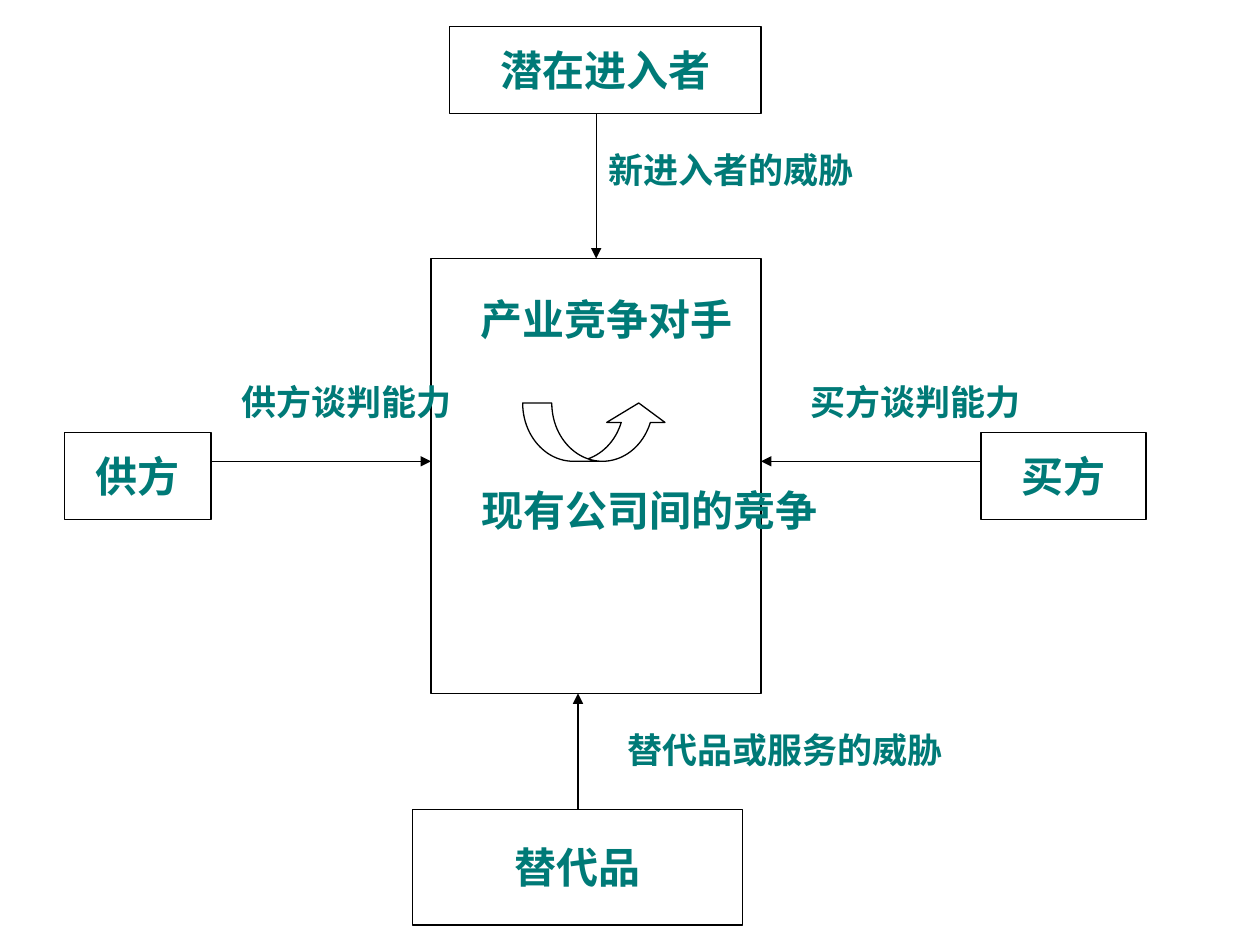
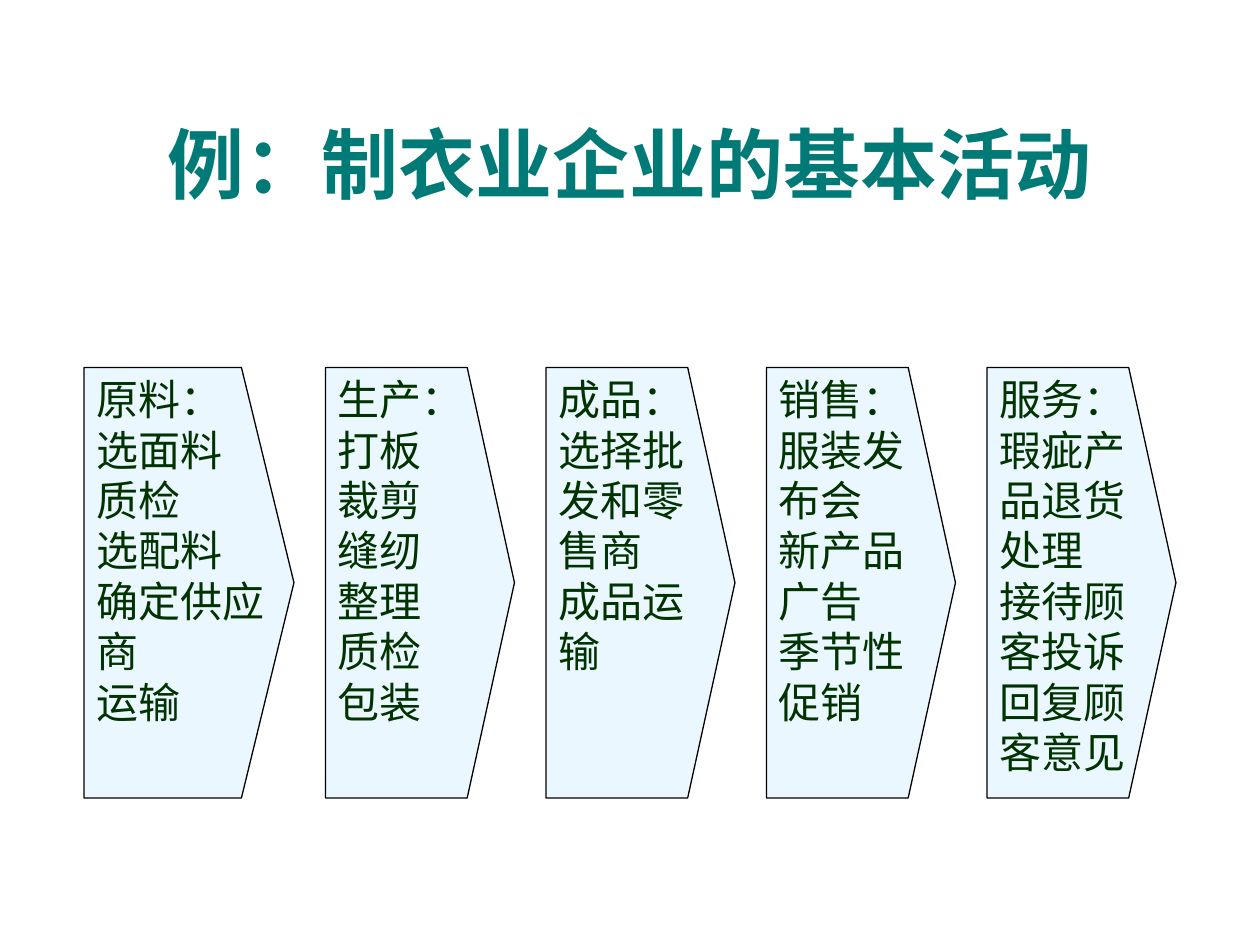
"""Build two slides: the five forces diagram and a clothing value chain."""
from lxml import etree
from pptx import Presentation
from pptx.dml.color import RGBColor
from pptx.enum.shapes import MSO_CONNECTOR, MSO_SHAPE
from pptx.enum.text import MSO_ANCHOR, PP_ALIGN
from pptx.oxml.ns import qn
from pptx.util import Pt

RECT, CHEVRON = MSO_SHAPE.RECTANGLE, MSO_SHAPE.PENTAGON
CURVE = MSO_SHAPE.CURVED_UP_ARROW
STRAIGHT = MSO_CONNECTOR.STRAIGHT
TOP, MIDDLE = MSO_ANCHOR.TOP, MSO_ANCHOR.MIDDLE
LEFT, CENTER = PP_ALIGN.LEFT, PP_ALIGN.CENTER

COLORS = {"teal": "007A77", "green": "003300", "pale": "EBF7FF", "line": "000000"}
SERIF, SANS = "Times New Roman", "Arial"

RIVAL = (246.3, 147.7, 188.6, 248.5)
FORCES = [
    ("潜在进入者", (256.8, 15, 178.1, 49.7)),
    ("供方", (36.9, 247.1, 83.8, 49.7)),
    ("买方", (560.6, 247.1, 94.3, 49.7)),
    ("替代品", (235.8, 462.4, 188.6, 66.2)),
]
LABELS = [
    ("产业竞争对手", 24, (267.4, 164.2, 219.6, 36)),
    ("现有公司间的竞争", 24, (267.8, 273.1, 219.6, 36)),
    ("新进入者的威胁", 20, (340.4, 81.2, 209.5, 31.5)),
    ("买方谈判能力", 20, (456, 213.8, 177.8, 31.5)),
    ("供方谈判能力", 20, (130.9, 213.8, 157, 31.5)),
    ("替代品或服务的威胁", 20, (351.2, 412.6, 241.2, 31.5)),
]
LOOP = (298.7, 230.3, 83, 33.3)
BENDS = (0.5, 1, 0.333)
ARROWS = [
    ((120.7, 263.6), (246.3, 263.6)),
    ((560.6, 263.6), (434.9, 263.6)),
    ((330.3, 462.4), (330.3, 396.2)),
    ((340.7, 64.7), (340.7, 147.7)),
]

TITLE = "例：制衣业企业的基本活动"
STAGES = [
    ("原料：", "选面料", "质检", "选配料", "确定供应商", "运输"),
    ("生产：打板", "裁剪", "缝纫", "整理", "质检", "包装"),
    ("成品：选择批发和零售商", "成品运输"),
    ("销售：服装发布会", "新产品广告", "季节性促销"),
    ("服务：", "瑕疵产品退货处理", "接待顾客投诉", "回复顾客意见"),
]
START, GAP, WIDE, NARROW = 48, 18, 120, 108
STAGE_TOP, STAGE_HIGH = 210, 246


def rgb(name):
    return RGBColor.from_string(COLORS[name])


def write(shape, lines, size, color="teal", bold=True, font=SERIF,
          align=LEFT, anchor=TOP, wrap=True):
    frame = shape.text_frame
    frame.word_wrap = wrap
    frame.vertical_anchor = anchor
    frame.text = "\n".join(lines)
    for para in frame.paragraphs:
        para.alignment = align
        para.font.name = font
        para.font.size = Pt(size)
        para.font.bold = bold
        para.font.color.rgb = rgb(color)


def draw(slide, kind, area, fill=None):
    shape = slide.shapes.add_shape(kind, *map(Pt, area))
    shape.shadow.inherit = False
    if fill:
        shape.fill.solid()
        shape.fill.fore_color.rgb = rgb(fill)
    else:
        shape.fill.background()
    shape.line.color.rgb = rgb("line")
    shape.line.width = Pt(0.75)
    return shape


def label(slide, text, size, area, **style):
    write(slide.shapes.add_textbox(*map(Pt, area)), [text], size, **style)


def arrow(slide, start, end):
    link = slide.shapes.add_connector(STRAIGHT, *map(Pt, start + end))
    link.line.color.rgb = rgb("line")
    link.line.width = Pt(0.75)
    props = link.line._get_or_add_ln()
    etree.SubElement(props, qn("a:tailEnd"), type="triangle")
    etree.SubElement(link._element.spPr, qn("a:effectLst"))


def forces(slide):
    draw(slide, RECT, RIVAL)
    for text, area in FORCES:
        write(draw(slide, RECT, area), [text], 24,
              align=CENTER, anchor=MIDDLE, wrap=False)
    for item in LABELS:
        label(slide, *item)
    loop = draw(slide, CURVE, LOOP)
    for i, bend in enumerate(BENDS):
        loop.adjustments[i] = bend
    for start, end in ARROWS:
        arrow(slide, start, end)


def chain(slide):
    label(slide, TITLE, 44, (24, 69, 672, 48), font=SANS,
          align=CENTER, anchor=MIDDLE)
    left = START
    for i, lines in enumerate(STAGES):
        width = NARROW if i else WIDE
        stage = draw(slide, CHEVRON, (left, STAGE_TOP, width, STAGE_HIGH), "pale")
        stage.adjustments[0] = 0.25
        stage.text_frame.margin_right = 0
        write(stage, lines, 24, color="green", bold=False)
        left += width + GAP


def main():
    deck = Presentation()
    deck.slide_width, deck.slide_height = Pt(720), Pt(540)
    for build in (forces, chain):
        build(deck.slides.add_slide(deck.slide_layouts[6]))
    deck.save("out.pptx")


if __name__ == "__main__":
    main()
